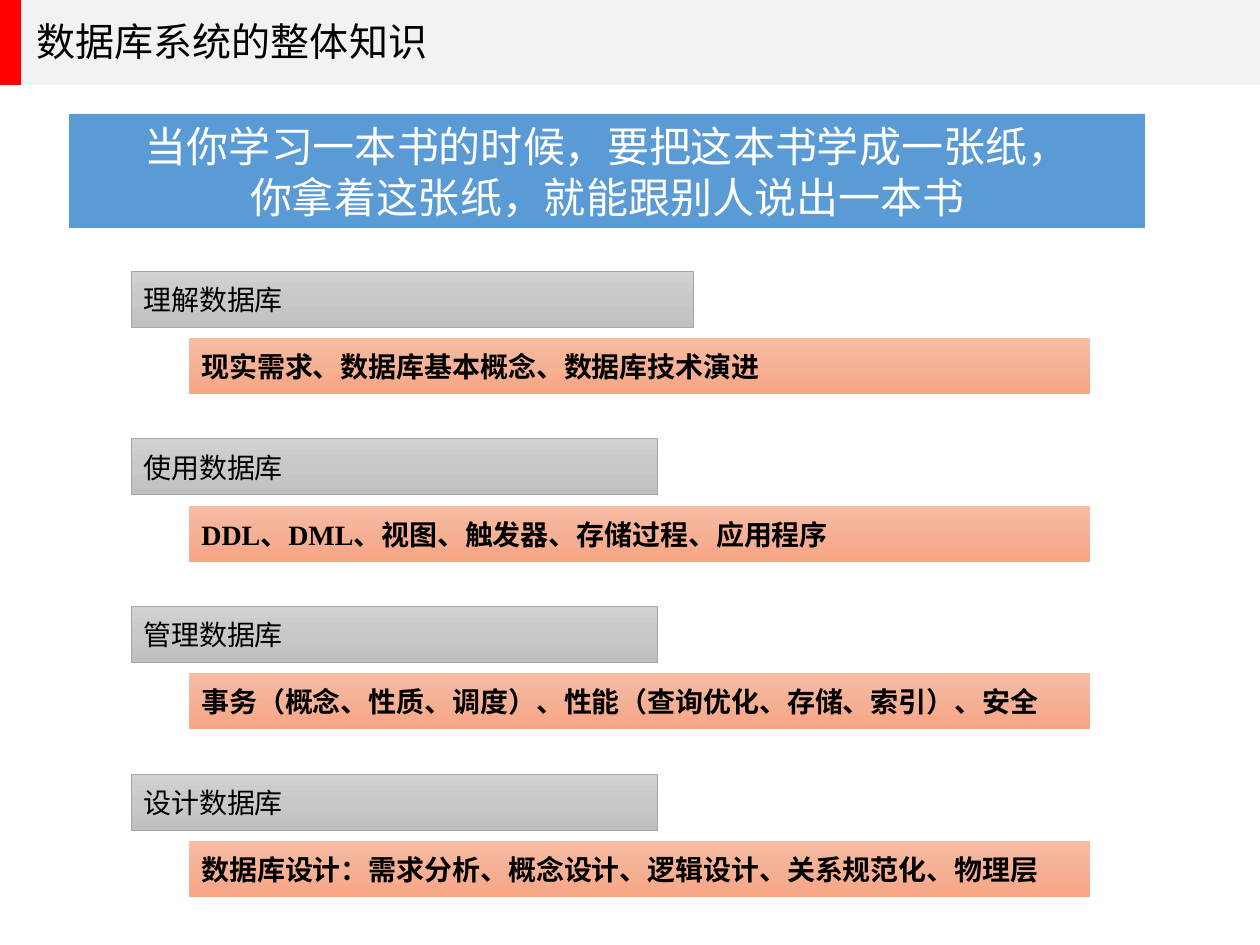
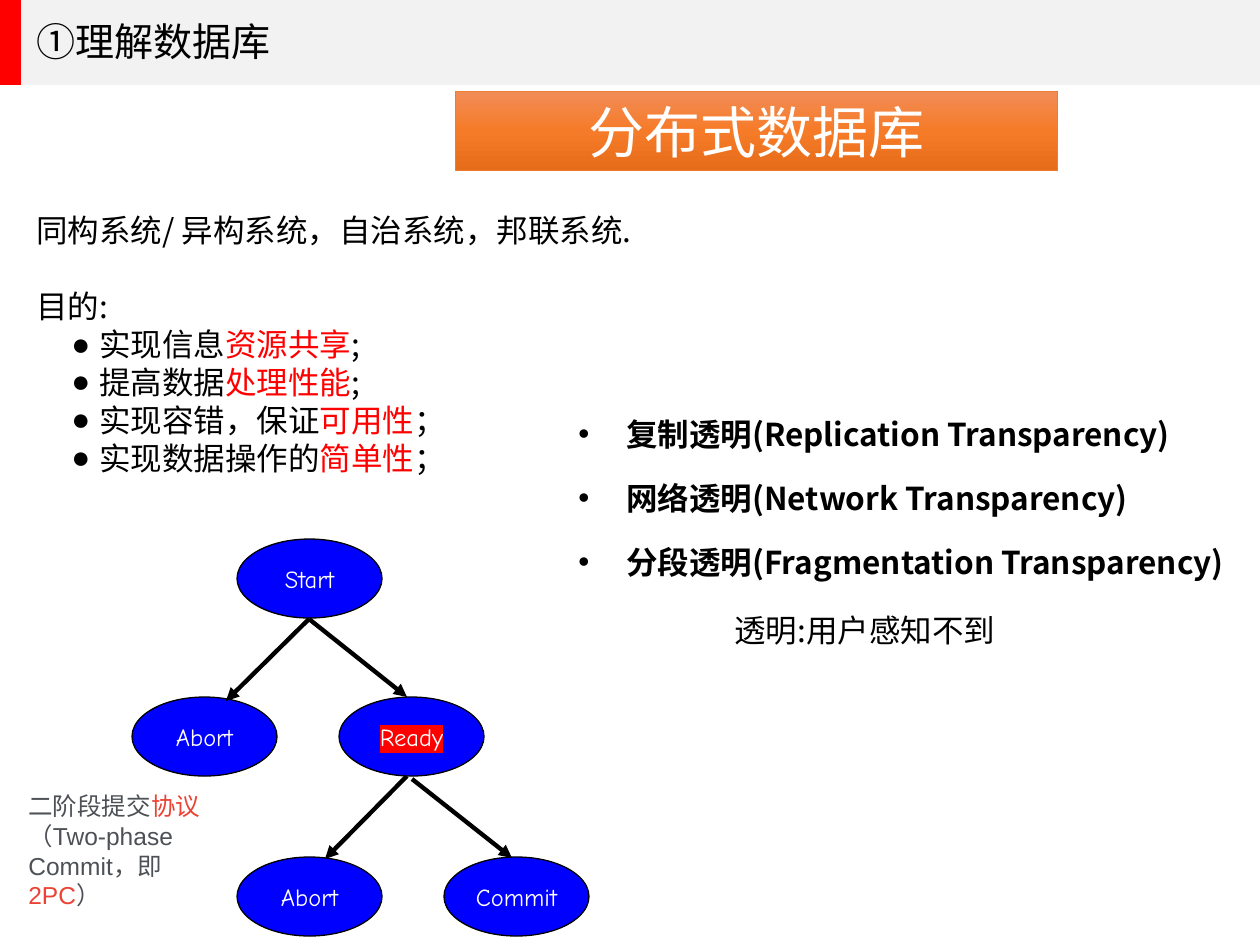
from copy import deepcopy

from lxml.etree import SubElement
from pptx import Presentation
from pptx.dml.color import RGBColor
from pptx.enum.shapes import MSO_CONNECTOR, MSO_SHAPE
from pptx.enum.text import MSO_ANCHOR, MSO_AUTO_SIZE, PP_ALIGN
from pptx.oxml.ns import qn
from pptx.util import Pt

# ---------- Content ----------
OVERVIEW_TITLE = "数据库系统的整体知识"
MOTTO = ["当你学习一本书的时候，要把这本书学成一张纸，", "你拿着这张纸，就能跟别人说出一本书"]
TOPICS = [
    ("理解数据库", 563, "现实需求、数据库基本概念、数据库技术演进"),
    ("使用数据库", 527, "DDL、DML、视图、触发器、存储过程、应用程序"),
    ("管理数据库", 527, "事务（概念、性质、调度）、性能（查询优化、存储、索引）、安全"),
    ("设计数据库", 527, "数据库设计：需求分析、概念设计、逻辑设计、关系规范化、物理层"),
]

DISTRIBUTED_TITLE = "①理解数据库"
DISTRIBUTED_BANNER = "分布式数据库"
SYSTEM_KINDS = "同构系统/ 异构系统，自治系统，邦联系统."
GOALS_LABEL = "目的:"
GOALS = [
    ("实现信息", "资源共享", ";"),
    ("提高数据", "处理性能", ";"),
    ("实现容错，保证", "可用性", "；"),
    ("实现数据操作的", "简单性", "；"),
]
TRANSPARENCIES = [
    "复制透明(Replication Transparency)",
    "网络透明(Network Transparency)",
    "分段透明(Fragmentation Transparency)",
]
TRANSPARENCY_MEANING = "透明:用户感知不到"
PROTOCOL_NOTE = ["二阶段提交", "协议", "（Two-phase Commit，即", "2PC", "）"]
COMMIT_STATES = [  # label, left, top
    ("Start", 237, 539),
    ("Abort", 132, 697),
    ("Ready", 339, 697),
    ("Abort", 237, 857),
    ("Commit", 444, 857),
]
COMMIT_STEPS = [  # from x, y to x, y
    (309, 619, 226, 701),
    (309, 619, 407, 697),
    (407, 776, 325, 859),
    (412, 779, 512, 858),
]

# ---------- Look ----------
PX = 914400 / 126
SLIDE_SIZE = (1260, 945)
STATE_SIZE = (145, 79)
FIRST_TOPIC_TOP, LAST_TOPIC_TOP = 271, 774

BLACK = RGBColor(0x00, 0x00, 0x00)
WHITE = RGBColor(0xFF, 0xFF, 0xFF)
RED = RGBColor(0xFF, 0x00, 0x00)
BLUE = RGBColor(0x00, 0x00, 0xFF)
BAND_GRAY = RGBColor(0xF2, 0xF2, 0xF2)
MOTTO_BLUE = RGBColor(0x5B, 0x9B, 0xD5)
HEADING_LINE = RGBColor(0xA5, 0xA5, 0xA5)
BANNER_LINE = RGBColor(0xED, 0x7D, 0x31)
NOTE_GRAY = RGBColor(0x4D, 0x51, 0x56)
NOTE_RED = RGBColor(0xEA, 0x43, 0x35)
HEADING_FILL = [RGBColor.from_string(code) for code in ("D2D2D2", "C8C8C8", "C0C0C0")]
DETAIL_FILL = [RGBColor.from_string(code) for code in ("F7BDA5", "F5B196", "F8A582")]
BANNER_FILL = [RGBColor.from_string(code) for code in ("F18C57", "F67B28", "E56C19")]

CHINESE_FONT = "Noto Sans CJK SC"
TITLE_FONT = {"name": "Calibri", "size": Pt(22.3), "bold": False}
MOTTO_FONT = {"name": "Calibri", "size": Pt(24)}
HEADING_FONT = {"name": "Calibri", "size": Pt(16)}
DETAIL_FONT = {"name": "Times New Roman", "size": Pt(16), "bold": True}
BANNER_FONT = {"name": CHINESE_FONT, "size": Pt(32)}
BODY_FONT = {"name": CHINESE_FONT, "size": Pt(18)}
STRONG_FONT = {**BODY_FONT, "bold": True}
STATE_FONT = {"name": "Comic Neue", "size": Pt(14)}
NOTE_FONT = {"name": "Arial", "size": Pt(14)}


def px(*lengths):
    return [round(length * PX) for length in lengths]


def set_attributes(target, values):
    for name, value in values.items():
        setattr(target, name, value)


def add_run(paragraph, text, font, color):
    run = paragraph.add_run()
    run.text = text
    set_attributes(run.font, font)
    run.font.color.rgb = color
    latin = run.font._rPr.find(qn("a:latin"))
    east_asian = deepcopy(latin)
    east_asian.tag = qn("a:ea")
    east_asian.set("typeface", CHINESE_FONT)
    latin.addnext(east_asian)
    return run


def write(shape, paragraphs, font, line_factor=1.22, align=PP_ALIGN.LEFT, anchor=MSO_ANCHOR.MIDDLE):
    """Fill the shape with paragraphs, each a list of (text, color) runs."""
    frame = shape.text_frame
    set_attributes(frame, {"word_wrap": True, "auto_size": MSO_AUTO_SIZE.NONE, "vertical_anchor": anchor})
    for index, runs in enumerate(paragraphs):
        paragraph = frame.add_paragraph() if index else frame.paragraphs[0]
        paragraph.alignment = align
        paragraph.line_spacing = Pt(round(font["size"].pt * line_factor, 1))
        for text, color in runs:
            add_run(paragraph, text, font, color)
    return frame


def add_text(slide, box, paragraphs, font, **layout):
    return write(slide.shapes.add_textbox(*px(*box)), paragraphs, font, anchor=MSO_ANCHOR.TOP, **layout)


def add_bullet(paragraph, character, margin, indent):
    properties = paragraph._p.get_or_add_pPr()
    properties.set("marL", str(px(margin)[0]))
    properties.set("indent", str(px(indent)[0]))
    color = SubElement(properties, qn("a:buClr"))
    SubElement(color, qn("a:srgbClr"), val=str(BLACK))
    SubElement(properties, qn("a:buFont"), typeface="Arial")
    SubElement(properties, qn("a:buChar"), char=character)


def add_block(slide, box, fill, line=None, line_width=0.5, kind=MSO_SHAPE.RECTANGLE):
    """Add a shape with a plain fill, or a downward gradient if fill is a list."""
    shape = slide.shapes.add_shape(kind, *px(*box))
    shape.shadow.inherit = False
    if isinstance(fill, list):
        shape.fill.gradient()
        shape.fill.gradient_angle = 270
        stop_list = shape.element.spPr.find(".//" + qn("a:gsLst"))
        stop_list.insert(1, deepcopy(stop_list[0]))
        for index, (stop, color) in enumerate(zip(shape.fill.gradient_stops, fill)):
            stop.position = index / 2
            stop.color.rgb = color
    else:
        shape.fill.solid()
        shape.fill.fore_color.rgb = fill
    if line is None:
        shape.line.fill.background()
    else:
        shape.line.color.rgb = line
        shape.line.width = Pt(line_width)
    return shape


def add_arrow(slide, points):
    arrow = slide.shapes.add_connector(MSO_CONNECTOR.STRAIGHT, *px(*points))
    arrow.line.color.rgb = BLACK
    arrow.line.width = Pt(2.5)
    SubElement(arrow.line._get_or_add_ln(), qn("a:tailEnd"), type="triangle")
    SubElement(arrow.element.spPr, qn("a:effectLst"))


def add_titled_slide(presentation, layout, title):
    slide = presentation.slides.add_slide(layout)
    placeholder = slide.shapes.title
    set_attributes(placeholder, dict(zip(("left", "top", "width", "height"), px(24, 24, 929, 48))))
    write(placeholder, [[(title, BLACK)]], TITLE_FONT, line_factor=0.85)
    return slide


def move_bands_to_layout(slide, layout):
    for box, color in [((0, 0, 21, 85), RED), ((21, 0, 1239, 85), BAND_GRAY)]:
        band = add_block(slide, box, color)
        layout.shapes.element.insert(2, band.element)


def build_overview(slide):
    motto = add_block(slide, (69, 114, 1076, 114), MOTTO_BLUE)
    write(motto, [[(line, WHITE)] for line in MOTTO], MOTTO_FONT, align=PP_ALIGN.CENTER)
    pitch = (LAST_TOPIC_TOP - FIRST_TOPIC_TOP) / (len(TOPICS) - 1)
    for index, (heading, width, detail) in enumerate(TOPICS):
        top = FIRST_TOPIC_TOP + index * pitch
        heading_block = add_block(slide, (131, top, width, 56), HEADING_FILL, HEADING_LINE)
        write(heading_block, [[(heading, BLACK)]], HEADING_FONT)
        detail_block = add_block(slide, (189, top + 67, 901, 56), DETAIL_FILL)
        write(detail_block, [[(detail, BLACK)]], DETAIL_FONT)


def build_commit_tree(slide):
    for label, left, top in COMMIT_STATES:
        state = add_block(slide, (left, top, *STATE_SIZE), BLUE, BLACK, 0.75, MSO_SHAPE.OVAL)
        frame = write(state, [[(label, WHITE)]], STATE_FONT, align=PP_ALIGN.CENTER)
        set_attributes(frame, {"margin_left": 0, "margin_right": 0})
        if label == "Ready":
            latin = frame.paragraphs[0].runs[0].font._rPr.find(qn("a:latin"))
            highlight = latin.makeelement(qn("a:highlight"))
            SubElement(highlight, qn("a:srgbClr"), val=str(RED))
            latin.addprevious(highlight)
    for points in COMMIT_STEPS:
        add_arrow(slide, points)
    note = [(text, NOTE_RED if index % 2 else NOTE_GRAY) for index, text in enumerate(PROTOCOL_NOTE)]
    add_text(slide, (16, 784, 212, 130), [note], NOTE_FONT)


def build_distributed(slide):
    banner = add_block(slide, (456, 91, 602, 80), BANNER_FILL, BANNER_LINE)
    write(banner, [[(DISTRIBUTED_BANNER, WHITE)]], BANNER_FONT, align=PP_ALIGN.CENTER)

    goals = [list(zip(goal, (BLACK, RED, BLACK))) for goal in GOALS]
    paragraphs = [[(SYSTEM_KINDS, BLACK)], [(GOALS_LABEL, BLACK)], *goals]
    frame = add_text(slide, (24, 205, 650, 280), paragraphs, BODY_FONT, line_factor=1.2)
    frame.paragraphs[1].space_before = Pt(22)
    for paragraph in frame.paragraphs[2:]:
        paragraph.level = 1
        add_bullet(paragraph, "●", 63, -28)

    paragraphs = [[(text, BLACK)] for text in TRANSPARENCIES]
    frame = add_text(slide, (566, 386, 693, 250), paragraphs, STRONG_FONT, line_factor=1.93)
    for index, paragraph in enumerate(frame.paragraphs):
        if index:
            paragraph.space_before = Pt(1.8)
        add_bullet(paragraph, "•", 48, -48)
    add_text(slide, (722, 604, 530, 63), [[(TRANSPARENCY_MEANING, BLACK)]], BODY_FONT)
    build_commit_tree(slide)


def main():
    presentation = Presentation()
    presentation.slide_width, presentation.slide_height = px(*SLIDE_SIZE)
    layout = presentation.slide_layouts[5]
    overview = add_titled_slide(presentation, layout, OVERVIEW_TITLE)
    move_bands_to_layout(overview, layout)
    build_overview(overview)
    build_distributed(add_titled_slide(presentation, layout, DISTRIBUTED_TITLE))
    presentation.save("out.pptx")


if __name__ == "__main__":
    main()
